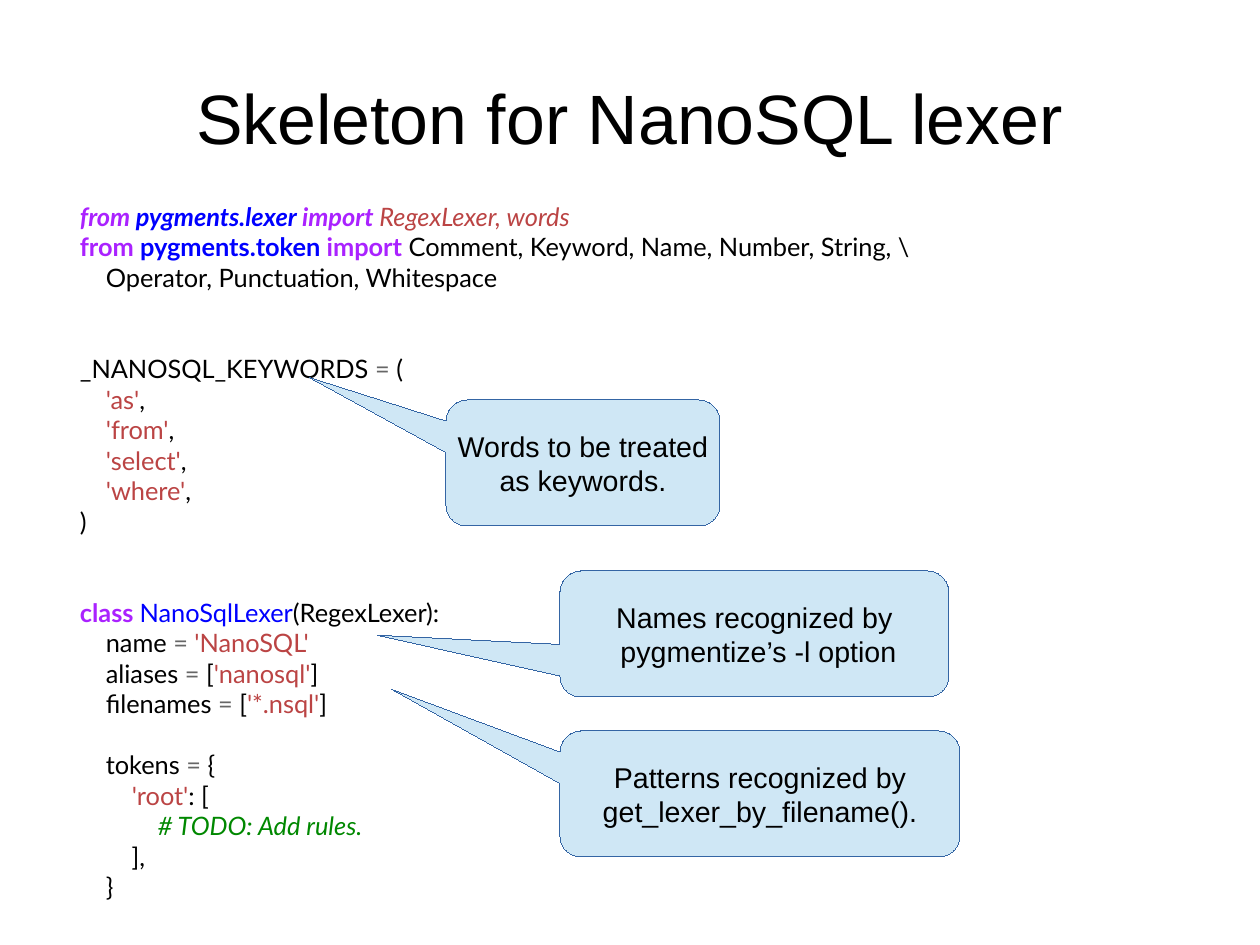
import pptx
import pptx.util
import pptx.dml.color
import pptx.enum.shapes
import pptx.enum.text
import pptx.oxml.ns

PX = 8000  # EMU in one px
ALIGN = pptx.enum.text.PP_ALIGN
ANCHOR = pptx.enum.text.MSO_ANCHOR


class Theme:
    text_font, code_font = "Arial", "Lato"
    title_size, callout_size, code_size = 44, 18, 16
    code_line = 19.2  # height of one line of code, in points
    ink, callout_fill, callout_line = "000000", "CFE7F5", "3465A4"
    # token kind: colour, bold, italic
    tokens = {
        "plain": (ink, False, False),
        "keyword": ("AA22FF", True, False),
        "module": ("0000FF", True, False),
        "class": ("0000FF", False, False),
        "operator": ("666666", False, False),
        "string": ("BB4444", False, False),
        "comment": ("008800", False, True),
        "keyword_it": ("AA22FF", True, True),
        "module_it": ("0000FF", True, True),
        "string_it": ("BB4444", False, True),
    }


def plain(text):
    return [(text, "plain")]


def quoted(before, text, after):
    return [(before, "plain"), (text, "string"), (after, "plain")]


def assign(name, value):
    return [(name + " ", "plain"), ("=", "operator"), (" " + value, "plain")]


def assign_list(name, text):
    return assign(name, "[") + [(text, "string"), ("]", "plain")]


# Code blocks: blank lines above, then the lines as (text, token kind) runs
CODE = [
    (0, [
        [("from ", "keyword_it"), ("pygments.lexer ", "module_it"),
         ("import", "keyword_it"), (" RegexLexer, words", "string_it")],
        [("from ", "keyword"), ("pygments.token ", "module"), ("import", "keyword"),
         (" Comment, Keyword, Name, Number, String, \\", "plain")],
        plain("    Operator, Punctuation, Whitespace"),
    ]),
    (2, [
        assign("_NANOSQL_KEYWORDS", "("),
        *[quoted("    ", f"'{word}'", ",") for word in ("as", "from", "select", "where")],
        plain(")"),
    ]),
    (2, [
        [("class ", "keyword"), ("NanoSqlLexer", "class"), ("(RegexLexer):", "plain")],
        [("    name ", "plain"), ("= ", "operator"), ("'NanoSQL'", "string")],
        assign_list("    aliases", "'nanosql'"),
        assign_list("    filenames", "'*.nsql'"),
    ]),
    (1, [
        assign("    tokens", "{"),
        quoted("        ", "'root'", ": ["),
        [("            ", "plain"), ("# TODO: Add rules.", "comment")],
        plain("        ],"),
        plain("    }"),
    ]),
]

# Callouts: text, box in px, tip offset from the centre as shares of the box
CALLOUTS = [
    ("Words to be treated\vas keywords.", (446, 400, 274, 126), (-1.0, -0.68)),
    ("Names recognized by\v pygmentize’s -l option", (560, 571, 389, 126), (-0.97, 0.01)),
    ("Patterns recognized by\vget_lexer_by_filename().", (560, 731, 400, 126), (-0.92, -0.83)),
]


def emu(box):
    return [n * PX for n in box]


def rgb(value):
    return pptx.dml.color.RGBColor.from_string(value)


def style(font, name, size, color, bold=False, italic=False):
    font.name, font.size = name, pptx.util.Pt(size)
    font.bold, font.italic = bold, italic
    font.color.rgb = rgb(color)


def set_margins(tf, x, y):
    tf.margin_left = tf.margin_right = x * PX
    tf.margin_top = tf.margin_bottom = y * PX


def set_centred(tf, text, size):
    tf.text = text
    tf.vertical_anchor = ANCHOR.MIDDLE
    p = tf.paragraphs[0]
    p.alignment = ALIGN.CENTER
    for r in p.runs:
        style(r.font, Theme.text_font, size, Theme.ink)


def add_title(s, text, box):
    tf = s.shapes.add_textbox(*emu(box)).text_frame
    tf.word_wrap = True
    set_margins(tf, 0, 0)
    set_centred(tf, text, Theme.title_size)


def add_code(s, blocks, box):
    tf = s.shapes.add_textbox(*emu(box)).text_frame
    tf.word_wrap = True
    set_margins(tf, 11, 6)
    p = tf.paragraphs[0]
    for blanks, lines in blocks:
        for i, line in enumerate(lines):
            if p.runs:
                p = tf.add_paragraph()
            if i == 0 and blanks:
                p.space_before = pptx.util.Pt(blanks * Theme.code_line)
            for text, kind in line:
                r = p.add_run()
                r.text = text
                style(r.font, Theme.code_font, Theme.code_size, *Theme.tokens[kind])


def add_callout(s, text, box, tip):
    kind = pptx.enum.shapes.MSO_SHAPE.ROUNDED_RECTANGULAR_CALLOUT
    sp = s.shapes.add_shape(kind, *emu(box))
    sp.shadow.inherit = False
    sp.adjustments[0], sp.adjustments[1] = tip
    sp.fill.solid()
    sp.fill.fore_color.rgb = rgb(Theme.callout_fill)
    sp.line.color.rgb = rgb(Theme.callout_line)
    # A hairline needs an explicit zero width
    sp.element.spPr.find(pptx.oxml.ns.qn("a:ln")).set("w", "0")
    tf = sp.text_frame
    tf.word_wrap = False
    set_margins(tf, 11, 6)
    set_centred(tf, text, Theme.callout_size)


def main():
    prs = pptx.Presentation()
    prs.slide_width, prs.slide_height = emu((1260, 945))
    s = prs.slides.add_slide(prs.slide_layouts[6])

    # Title and code listing
    add_title(s, "Skeleton for NanoSQL lexer", (63, 38, 1134, 158))
    add_code(s, CODE, (69, 195, 1132, 740))

    # Callouts pointing at the code
    for text, box, tip in CALLOUTS:
        add_callout(s, text, box, tip)

    prs.save("out.pptx")


if __name__ == "__main__":
    main()
